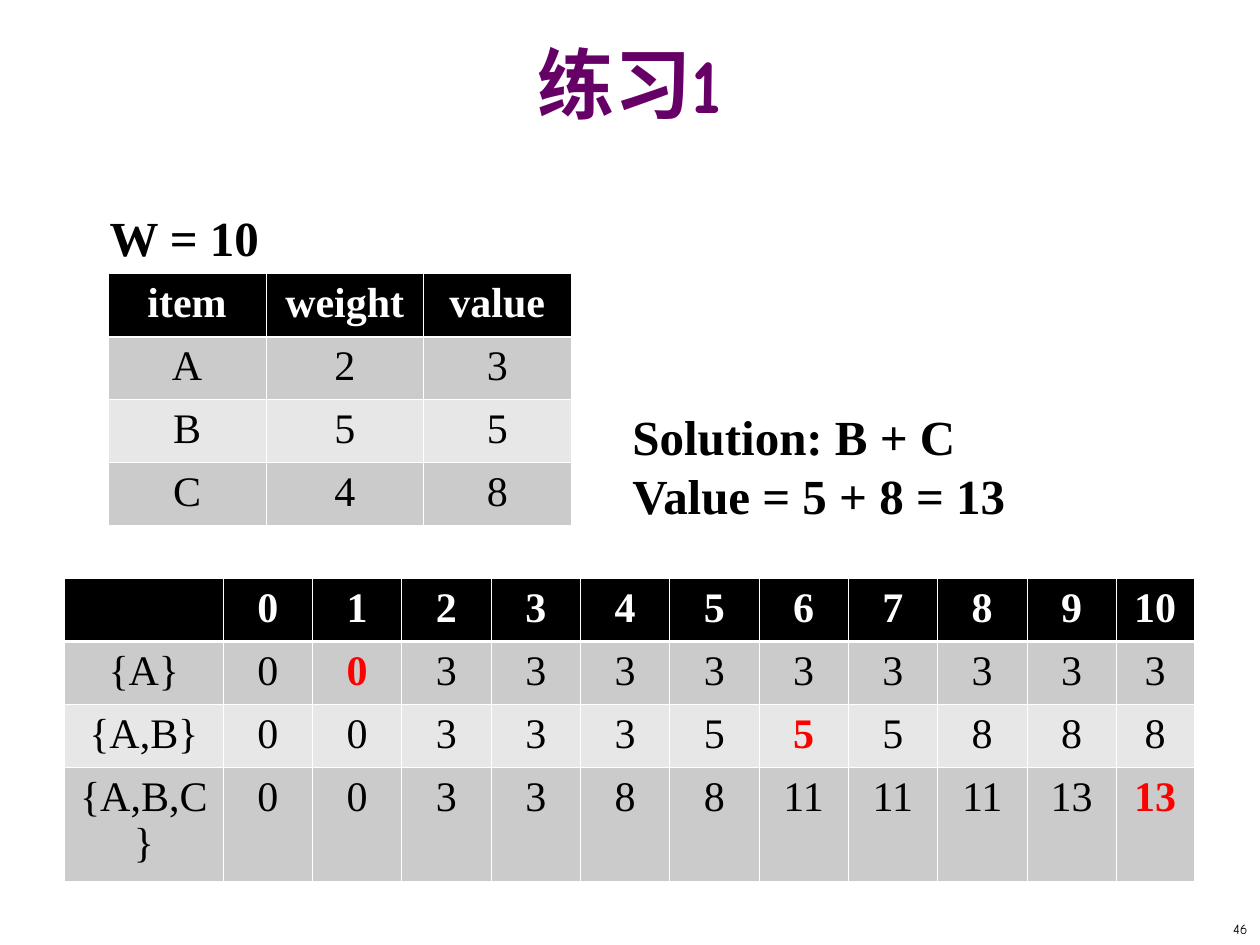
from lxml.etree import SubElement
from pptx import Presentation
from pptx.dml.color import RGBColor
from pptx.enum.text import MSO_ANCHOR, MSO_AUTO_SIZE, PP_ALIGN
from pptx.oxml.ns import qn
from pptx.util import Cm, Pt

BLACK = RGBColor(0x00, 0x00, 0x00)
WHITE = RGBColor(0xFF, 0xFF, 0xFF)
RED = RGBColor(0xFF, 0x00, 0x00)
PURPLE = RGBColor(0x66, 0x00, 0x66)
DARK_BAND = RGBColor(0xCB, 0xCB, 0xCB)
LIGHT_BAND = RGBColor(0xE7, 0xE7, 0xE7)
SERIF = "Times New Roman"
COMIC = "Comic Neue"


def add_span(para, text, font, size, color, bold):
    span = para.add_run()
    span.text = text
    span.font.name = font
    span.font.size = Pt(size)
    span.font.color.rgb = color
    span.font.bold = bold


def add_border(cell, side, width):
    line = SubElement(cell._tc.get_or_add_tcPr(), qn(f"a:{side}"), w=str(Pt(width)))
    fill = SubElement(line, qn("a:solidFill"))
    SubElement(fill, qn("a:srgbClr"), val=str(WHITE))


deck = Presentation()
deck.slide_width = Cm(25.4)
deck.slide_height = Cm(19.05)
page = deck.slides.add_slide(deck.slide_layouts[6])

items = [
    ["item", "weight", "value"],
    ["A", "2", "3"],
    ["B", "5", "5"],
    ["C", "4", "8"],
]
best_values = [
    [""] + [str(capacity) for capacity in range(11)],
    ["{A}"] + "0 0 3 3 3 3 3 3 3 3 3".split(),
    ["{A,B}"] + "0 0 3 3 3 5 5 5 8 8 8".split(),
    ["{A,B,C}"] + "0 0 3 3 8 8 11 11 11 13 13".split(),
]
tables = [
    (items, 2.18, 5.52, [3.18, 3.18, 2.97], [1.27] * 4, set()),
    (best_values, 1.3, 11.66, [3.2] + [1.8] * 10 + [1.57],
     [1.27] * 3 + [2.29], {(1, 2), (2, 7), (3, 11)}),
]
row_fills = [BLACK, DARK_BAND, LIGHT_BAND, DARK_BAND]

for values, left, top, widths, heights, highlights in tables:
    table = page.shapes.add_table(
        len(values), len(widths), Cm(left), Cm(top), Cm(sum(widths)), Cm(sum(heights))
    ).table
    table.horz_banding = False
    for column, width in zip(table.columns, widths):
        column.width = Cm(width)
    for r, row_values in enumerate(values):
        table.rows[r].height = Cm(heights[r])
        for c, value in enumerate(row_values):
            cell = table.cell(r, c)
            add_border(cell, "lnL", 0.45)
            add_border(cell, "lnR", 0.45)
            add_border(cell, "lnT", 1.47 if r == 1 else 0.45)
            add_border(cell, "lnB", 1.47 if r == 0 else 0.45)
            cell.fill.solid()
            cell.fill.fore_color.rgb = row_fills[r]
            highlighted = (r, c) in highlights
            color = WHITE if r == 0 else RED if highlighted else BLACK
            para = cell.text_frame.paragraphs[0]
            para.alignment = PP_ALIGN.CENTER
            if value:
                add_span(para, value, SERIF, 24, color, r == 0 or highlighted)

notes = [
    (["W = 10"], 1.96, 4.06, 3.53, 1.45, False),
    (["Solution: B + C", "Value = 5 + 8 = 13"], 12.5, 8.08, 12.9, 2.64, True),
]
for lines, left, top, width, height, wrap in notes:
    box = page.shapes.add_textbox(Cm(left), Cm(top), Cm(width), Cm(height))
    frame = box.text_frame
    frame.word_wrap = wrap
    frame.auto_size = MSO_AUTO_SIZE.SHAPE_TO_FIT_TEXT
    for index, text in enumerate(lines):
        para = frame.add_paragraph() if index else frame.paragraphs[0]
        add_span(para, text, SERIF, 28, BLACK, True)

title = page.shapes.add_textbox(Cm(0), Cm(0.43), Cm(25.4), Cm(2.95))
title.text_frame.word_wrap = True
title.text_frame.vertical_anchor = MSO_ANCHOR.MIDDLE
para = title.text_frame.paragraphs[0]
para.alignment = PP_ALIGN.CENTER
para.line_spacing = 0.7
add_span(para, "练习1", COMIC, 44, PURPLE, True)

number = page.shapes.add_textbox(Cm(20.12), Cm(18.42), Cm(5.28), Cm(0.63))
number.text_frame.word_wrap = False
number.text_frame.vertical_anchor = MSO_ANCHOR.MIDDLE
para = number.text_frame.paragraphs[0]
para.alignment = PP_ALIGN.RIGHT
add_span(para, "46", COMIC, 8, BLACK, False)

deck.save("out.pptx")
